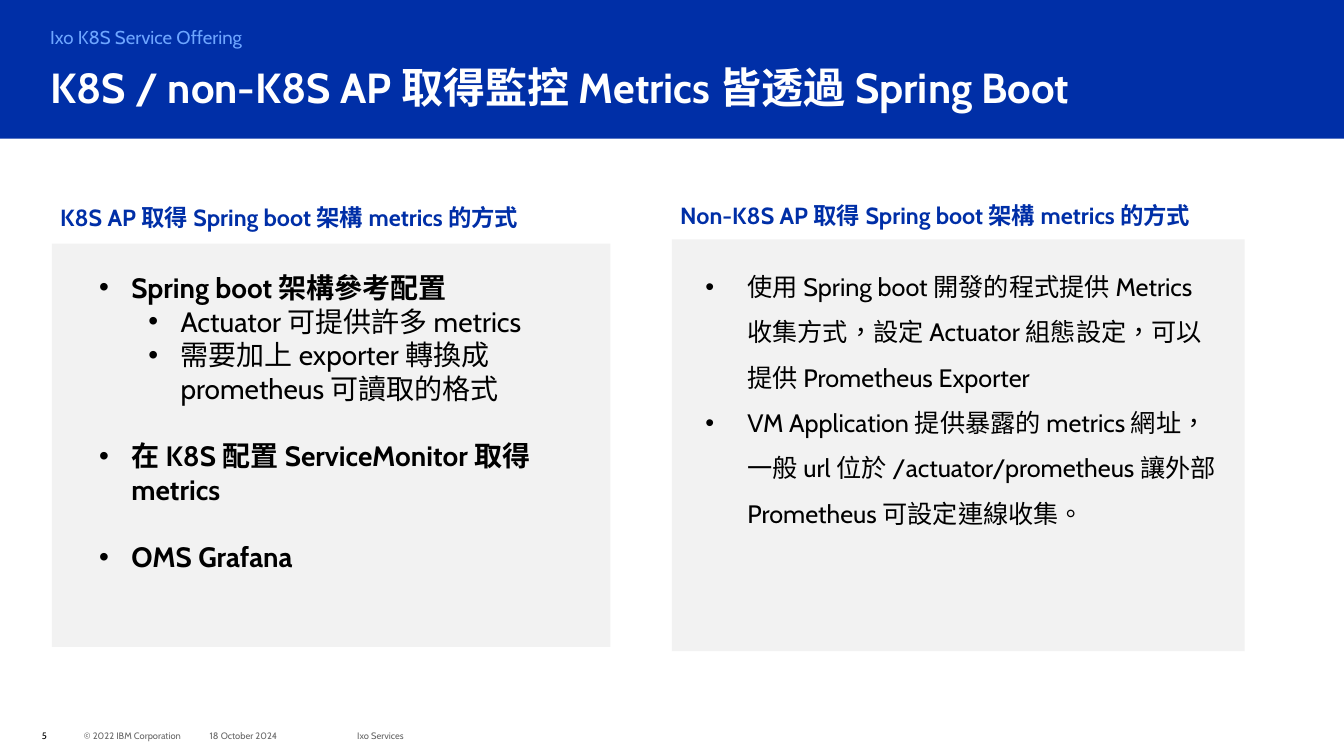
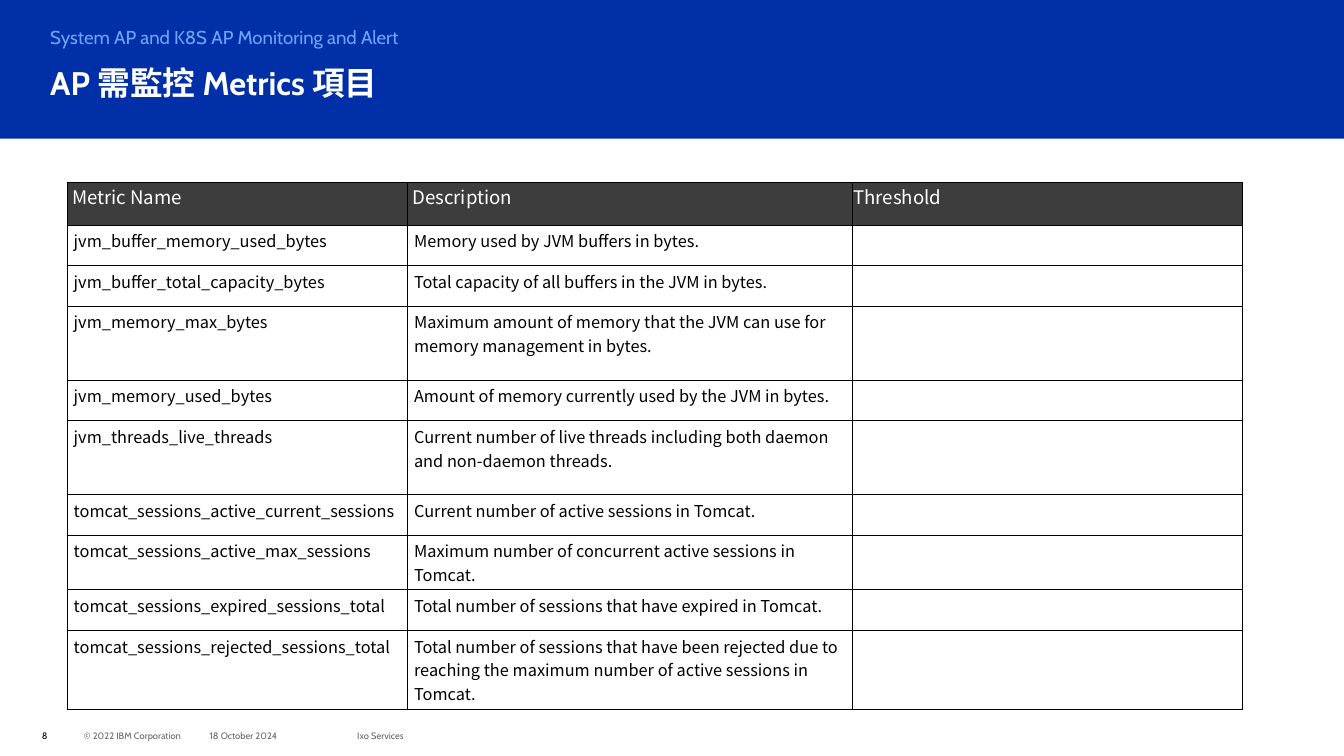
from dataclasses import dataclass

from pptx import Presentation
from pptx.dml.color import RGBColor
from pptx.enum.lang import MSO_LANGUAGE_ID
from pptx.enum.shapes import MSO_SHAPE
from pptx.enum.text import MSO_ANCHOR
from pptx.oxml import parse_xml
from pptx.oxml.ns import nsdecls
from pptx.util import Cm, Pt


@dataclass(frozen=True)
class Style:
    size: float
    color: str
    bold: bool = False
    face: str = "Cabin"
    lead: float = 1.0


@dataclass(frozen=True)
class Theme:
    blue: str = "002FA7"
    panel: str = "F2F2F2"
    dark: str = "3D3D3D"
    line: str = "000000"
    tag: Style = Style(16, "6EA6FF", lead=1.05)
    title: Style = Style(36, "FFFFFF", True, lead=0.9)
    short: Style = Style(28, "FFFFFF", True, lead=0.9)
    label: Style = Style(20, "002FA7", True, lead=0.9)
    main: Style = Style(24, "000000", True)
    sub: Style = Style(24, "000000")
    open: Style = Style(21.6, "000000", lead=1.5)
    foot: Style = Style(8, "666666")
    page: Style = Style(8, "000000")
    head: Style = Style(16, "FFFFFF", face="Noto Sans CJK SC")
    cell: Style = Style(14, "000000", face="Noto Sans CJK SC")


THEME = Theme()
INSET = (0.25, 0.13, 0.25, 0.13)
FLUSH = (0, 0, 0, 0)

LEFT = [
    ("Spring boot 架構參考配置", 0, 0),
    ("Actuator 可提供許多 metrics", 1, 0),
    ("需要加上 exporter 轉換成 prometheus 可讀取的格式", 1, 0),
    ("在 K8S 配置 ServiceMonitor 取得 metrics", 0, 29),
    ("OMS Grafana", 0, 29),
]
RIGHT = [
    "使用 Spring boot 開發的程式提供 Metrics 收集方式，設定 Actuator 組態設定，"
    "可以提供 Prometheus Exporter",
    "VM Application 提供暴露的 metrics 網址，一般 url 位於 /actuator/prometheus "
    "讓外部 Prometheus 可設定連線收集。",
]
HEADS = ("Metric Name", "Description", "Threshold")
ROWS = [
    ("jvm_buffer_memory_used_bytes", "Memory used by JVM buffers in bytes.", 1.23),
    ("jvm_buffer_total_capacity_bytes",
     "Total capacity of all buffers in the JVM in bytes.", 1.23),
    ("jvm_memory_max_bytes",
     "Maximum amount of memory that the JVM can use for memory management in bytes.",
     2.23),
    ("jvm_memory_used_bytes",
     "Amount of memory currently used by the JVM in bytes.", 1.23),
    ("jvm_threads_live_threads",
     "Current number of live threads including both daemon and non-daemon threads.",
     2.23),
    ("tomcat_sessions_active_current_sessions",
     "Current number of active sessions in Tomcat.", 1.23),
    ("tomcat_sessions_active_max_sessions",
     "Maximum number of concurrent active sessions in Tomcat.", 1.65),
    ("tomcat_sessions_expired_sessions_total",
     "Total number of sessions that have expired in Tomcat.", 1.23),
    ("tomcat_sessions_rejected_sessions_total",
     "Total number of sessions that have been rejected due to reaching the maximum "
     "number of active sessions in Tomcat.", 2.37),
]


def paint(fill, color):
    fill.solid()
    fill.fore_color.rgb = RGBColor.from_string(color)


def write(par, text, style):
    par.text = text
    par.line_spacing = style.lead
    par.font.size = Pt(style.size)
    par.font.name = style.face
    par.font.bold = style.bold
    par.font.color.rgb = RGBColor.from_string(style.color)


def pad(owner, inset):
    (owner.margin_left, owner.margin_top,
     owner.margin_right, owner.margin_bottom) = map(Cm, inset)


def add_frame(slide, box, inset=INSET):
    frame = slide.shapes.add_textbox(*map(Cm, box)).text_frame
    frame.word_wrap = True
    pad(frame, inset)
    return frame


def add_text(slide, box, text, style, inset=INSET):
    frame = add_frame(slide, box, inset)
    write(frame.paragraphs[0], text, style)
    return frame


def add_rect(slide, box, color):
    rect = slide.shapes.add_shape(MSO_SHAPE.RECTANGLE, *map(Cm, box))
    rect.shadow.inherit = False
    paint(rect.fill, color)
    rect.line.fill.background()


def add_list(slide, box, items, inset=INSET):
    frame = add_frame(slide, box, inset)
    for spot, (text, style, left, hang, gap) in enumerate(items):
        par = frame.add_paragraph() if spot else frame.paragraphs[0]
        props = par._p.get_or_add_pPr()
        props.set("marL", str(Cm(left)))
        props.set("indent", str(-Cm(hang)))
        for mark in ('buFont {} typeface="Arial"', 'buChar {} char="•"'):
            props.append(parse_xml(f'<a:{mark.format(nsdecls("a"))}/>'))
        if gap:
            par.space_before = Pt(gap)
        write(par, text, style)
        par.font.language_id = MSO_LANGUAGE_ID.TRADITIONAL_CHINESE


def add_base(deck, page, tag, title, style):
    slide = deck.slides.add_slide(deck.slide_layouts[6])
    notes = [
        (2.54, 6.35, "© 2022 IBM Corporation", THEME.foot),
        (6.34, 3.81, "18 October 2024", THEME.foot),
        (10.8, 6.35, "Ixo Services", THEME.foot),
        (1.27, 0.91, page, THEME.page),
    ]
    for left, width, text, look in notes:
        frame = add_text(slide, (left, 21.94, width, 0.61), text, look, FLUSH)
        frame.vertical_anchor = MSO_ANCHOR.MIDDLE
    add_rect(slide, (0, 0, 40.64, 4.19), THEME.blue)
    add_text(slide, (1.27, 0.74, 18.29, 0.76), tag, THEME.tag, (0.25, 0, 0.25, 0.13))
    add_text(slide, (1.27, 1.9, 34.29, 1.65), title, style)
    return slide


def frame_cell(cell):
    props = cell._tc.get_or_add_tcPr()
    for side in "LRTB":
        props.append(parse_xml(
            f'<a:ln{side} {nsdecls("a")} w="{Pt(1)}"><a:solidFill>'
            f'<a:srgbClr val="{THEME.line}"/></a:solidFill></a:ln{side}>'))


def add_grid(slide, spot, widths, heads, rows):
    highs = [1.3] + [row[-1] for row in rows]
    box = (*spot, sum(widths), sum(highs))
    grid = slide.shapes.add_table(len(highs), len(widths), *map(Cm, box)).table
    grid.first_row = grid.horz_banding = False
    for col, width in zip(grid.columns, widths):
        col.width = Cm(width)
    texts = [heads] + [(name, note, "") for name, note, _ in rows]
    for top, (line, high) in enumerate(zip(texts, highs)):
        grid.rows[top].height = Cm(high)
        for left, text in enumerate(line):
            cell = grid.cell(top, left)
            frame_cell(cell)
            if top:
                cell.fill.background()
                pad(cell, (0.2, 0.1, 0.2 if left else 0.03, 0.1))
            else:
                paint(cell.fill, THEME.dark)
                pad(cell, (0.03 if left == 2 else 0.15, 0.03, 0.03, 0))
            write(cell.text_frame.paragraphs[0], text,
                  THEME.cell if top else THEME.head)


def add_ways(deck):
    slide = add_base(deck, "5", "Ixo K8S Service Offering",
                     "K8S / non-K8S AP 取得監控 Metrics 皆透過 Spring Boot", THEME.title)
    add_rect(slide, (1.57, 7.37, 16.89, 12.19), THEME.panel)
    add_rect(slide, (20.32, 7.24, 17.32, 12.45), THEME.panel)
    tail = "AP 取得 Spring boot 架構 metrics 的方式"
    add_text(slide, (1.57, 6.1, 16.89, 1.52), f"K8S {tail}", THEME.label)
    add_text(slide, (20.32, 6.05, 17.27, 1.52), f"Non-K8S {tail}", THEME.label)
    looks = [(THEME.main, 0.97), (THEME.sub, 2.46)]
    add_list(slide, (3, 8.18, 14.07, 9.27),
             [(text, *looks[level], 0.97, gap) for text, level, gap in LEFT], FLUSH)
    add_list(slide, (21.08, 7.62, 16.13, 8.41),
             [(text, THEME.open, 1.27, 1.27, 0) for text in RIGHT])


def add_metrics(deck):
    slide = add_base(deck, "8", "System AP and K8S AP Monitoring and Alert",
                     "AP 需監控 Metrics 項目", THEME.short)
    add_grid(slide, (2.03, 5.51), (10.29, 13.46, 11.79), HEADS, ROWS)


def main():
    deck = Presentation()
    deck.slide_width, deck.slide_height = Cm(40.64), Cm(22.86)
    add_ways(deck)
    add_metrics(deck)
    deck.save("out.pptx")


if __name__ == "__main__":
    main()
